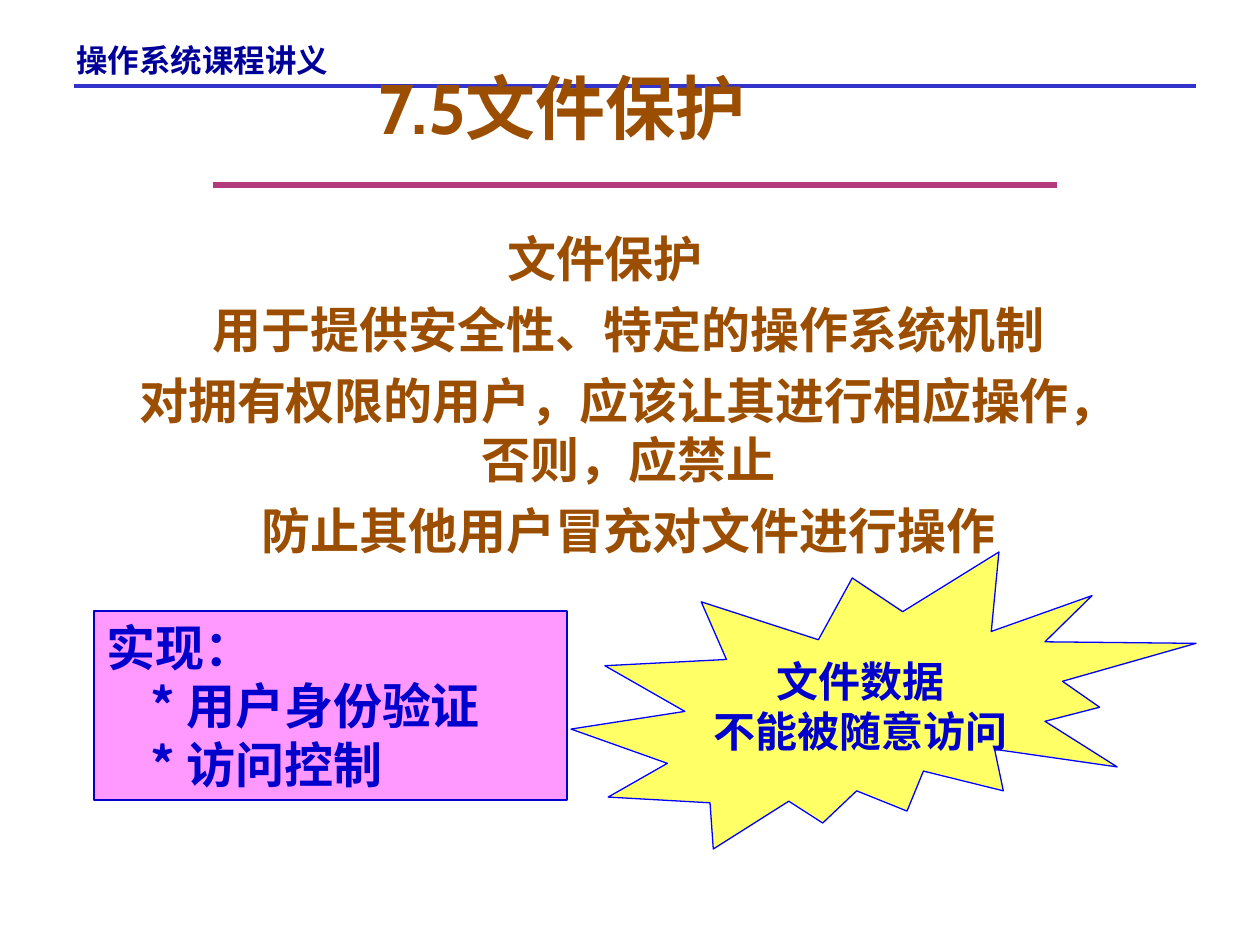
import dataclasses

import pptx
import pptx.dml.color
import pptx.enum.shapes
import pptx.enum.text
import pptx.oxml
import pptx.oxml.ns
import pptx.util

SCALE = 914400 / 126  # EMU per px
COLOURS = {
    "heading": "9C4E00", "header": "000099", "header rule": "3333CC",
    "title rule": "B23A7D", "edge": "6BBA27", "pink": "FF99FF",
    "yellow": "FFFF66", "ink": "0000CC", "outline": "0000FF",
}
ASIAN_FONT = "Noto Sans CJK SC"
PP_ALIGN = pptx.enum.text.PP_ALIGN
ANCHOR = pptx.enum.text.MSO_ANCHOR
AUTO_SIZE = pptx.enum.text.MSO_AUTO_SIZE
SHAPE = pptx.enum.shapes.MSO_SHAPE


@dataclasses.dataclass(frozen=True)
class Box:
    left: int
    top: int
    width: int
    height: int


@dataclasses.dataclass(frozen=True)
class Style:
    font: str
    size: int
    colour: str
    align: PP_ALIGN = PP_ALIGN.LEFT
    anchor: ANCHOR = ANCHOR.TOP
    wrap: bool = True
    fit: AUTO_SIZE = AUTO_SIZE.NONE


@dataclasses.dataclass(frozen=True)
class Rule:
    left: int
    right: int
    y: int
    colour: str
    weight: float


@dataclasses.dataclass(frozen=True)
class Panel:
    kind: SHAPE
    box: Box
    fill: str
    line: str
    text: str
    style: Style


def px(length: int) -> int:
    return round(length * SCALE)


def rgb(name: str) -> pptx.dml.color.RGBColor:
    return pptx.dml.color.RGBColor.from_string(COLOURS[name])


def place(shape, box: Box) -> None:
    shape.left, shape.top = px(box.left), px(box.top)
    shape.width, shape.height = px(box.width), px(box.height)


def write(shape, text: str, style: Style) -> None:
    frame = shape.text_frame
    frame.text = text
    frame.word_wrap = style.wrap
    frame.auto_size = style.fit
    frame.vertical_anchor = style.anchor
    for paragraph in frame.paragraphs:
        paragraph.alignment = style.align
        for run in paragraph.runs:
            run.font.name = style.font
            run.font.size = pptx.util.Pt(style.size)
            run.font.bold = True
            run.font.color.rgb = rgb(style.colour)
            asian = pptx.oxml.parse_xml(
                f'<a:ea {pptx.oxml.ns.nsdecls("a")} typeface="{ASIAN_FONT}"/>')
            run.font._element.find(pptx.oxml.ns.qn("a:latin")).addnext(asian)


def indent(paragraph, margin: int, first_line: int = 0) -> None:
    properties = paragraph._p.get_or_add_pPr()
    properties.set("marL", str(px(margin)))
    properties.set("indent", str(px(first_line)))


def draw_rule(slide, rule: Rule) -> None:
    line = slide.shapes.add_connector(
        pptx.enum.shapes.MSO_CONNECTOR.STRAIGHT,
        px(rule.left), px(rule.y), px(rule.right), px(rule.y))
    line.line.color.rgb = rgb(rule.colour)
    line.line.width = pptx.util.Pt(rule.weight)
    line._element.spPr.append(
        pptx.oxml.parse_xml(f'<a:effectLst {pptx.oxml.ns.nsdecls("a")}/>'))


def draw_panel(slide, panel: Panel):
    shape = slide.shapes.add_shape(panel.kind, 0, 0, 0, 0)
    place(shape, panel.box)
    shape.shadow.inherit = False
    shape.fill.solid()
    shape.fill.fore_color.rgb = rgb(panel.fill)
    shape.line.color.rgb = rgb(panel.line)
    shape.line.width = pptx.util.Pt(0.75)
    write(shape, panel.text, panel.style)
    return shape


RULES = [
    Rule(74, 1196, 86, "header rule", 2.25),
    Rule(213, 1057, 185, "title rule", 3),
]
METHODS = Panel(
    SHAPE.RECTANGLE, Box(94, 611, 473, 189), "pink", "ink",
    "实现：\n* 用户身份验证\n* 访问控制",
    Style(ASIAN_FONT, 28, "ink", fit=AUTO_SIZE.SHAPE_TO_FIT_TEXT))
WARNING = Panel(
    SHAPE.EXPLOSION2, Box(571, 552, 625, 297), "yellow", "outline",
    "文件数据\n不能被随意访问",
    Style(ASIAN_FONT, 24, "ink", PP_ALIGN.CENTER, ANCHOR.MIDDLE, wrap=False))
POINTS = [
    "文件保护",
    "用于提供安全性、特定的操作系统机制",
    "对拥有权限的用户，应该让其进行相应操作，否则，应禁止",
    "防止其他用户冒充对文件进行操作",
]


def main() -> None:
    deck = pptx.Presentation()
    deck.slide_width, deck.slide_height = px(1260), px(945)
    slide = deck.slides.add_slide(deck.slide_layouts[1])
    title, body = slide.placeholders

    # Thin edge at the left
    outline = slide.shapes.build_freeform(39, 387, scale=SCALE)
    outline.add_line_segments([(39, 805)], close=True)
    edge = outline.convert_to_shape()
    edge.shadow.inherit = False
    edge.fill.solid()
    edge.fill.fore_color.rgb = rgb("edge")
    edge.line.fill.background()

    # Course header and rules
    for rule in RULES:
        draw_rule(slide, rule)
    header = slide.shapes.add_textbox(0, 0, 0, 0)
    place(header, Box(64, 35, 307, 30))
    write(header, "操作系统课程讲义", Style("Arial", 18, "header"))

    # Title and body, brought in front of the rules
    for placeholder in (title, body):
        slide.shapes._spTree.append(placeholder._element)
    place(title, Box(63, 44, 998, 111))
    write(title, "7.5文件保护",
          Style("Cabin", 40, "heading", PP_ALIGN.CENTER, ANCHOR.BOTTOM))
    place(body, Box(63, 222, 1084, 668))
    write(body, "\n".join(POINTS),
          Style("Calibri", 28, "heading", PP_ALIGN.CENTER))
    for number, point in enumerate(body.text_frame.paragraphs):
        indent(point, 47, 0 if number else -47)
        point.space_before = pptx.util.Pt(7)
        point._p.get_or_add_pPr().append(
            pptx.oxml.parse_xml(f'<a:buNone {pptx.oxml.ns.nsdecls("a")}/>'))

    # Methods box and warning burst
    methods = draw_panel(slide, METHODS)
    for method in methods.text_frame.paragraphs[1:]:
        indent(method, 44)
    draw_panel(slide, WARNING)

    deck.save("out.pptx")


if __name__ == "__main__":
    main()
